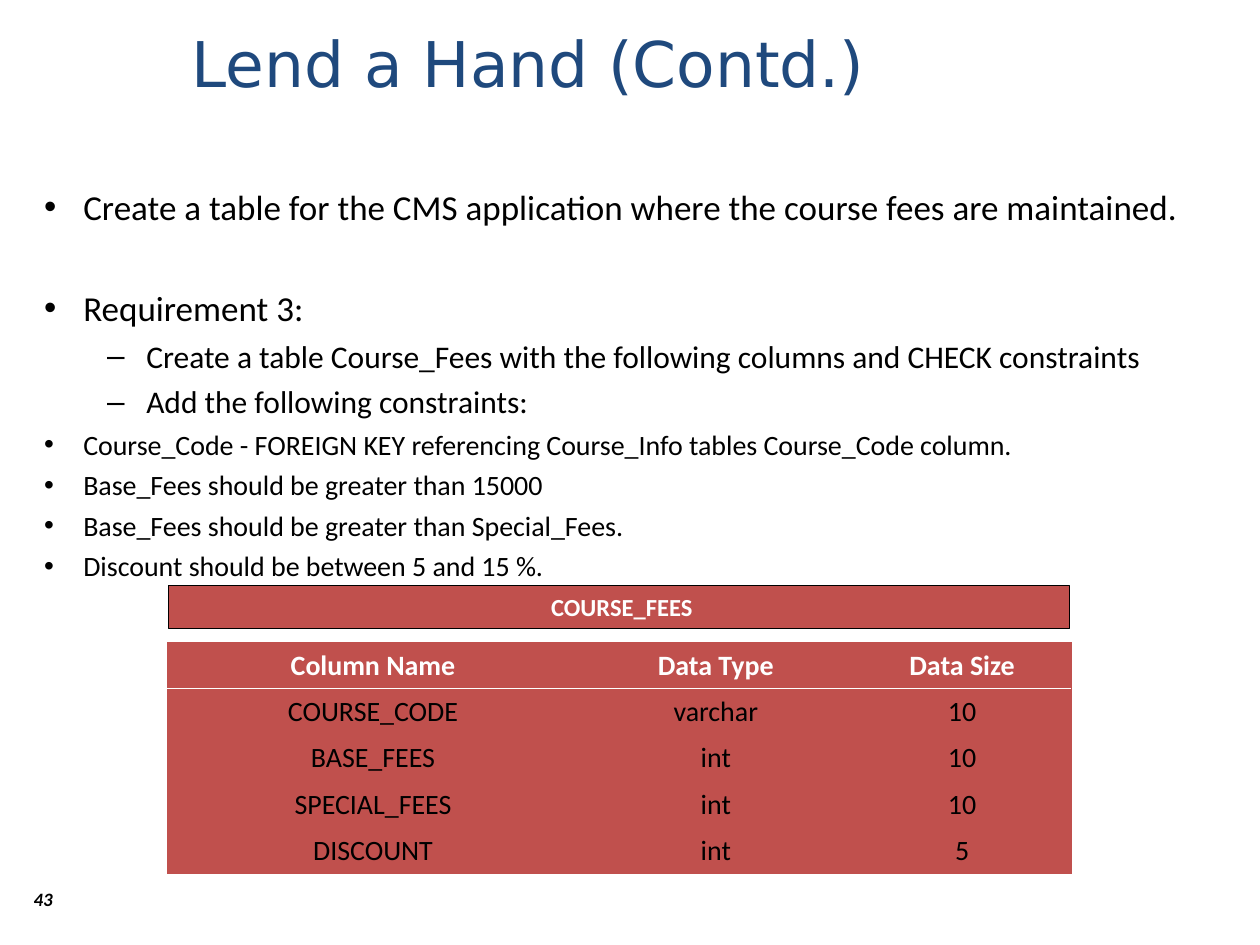
from dataclasses import dataclass
from typing import Any

from lxml import etree
from pptx import Presentation
from pptx.dml.color import RGBColor
from pptx.enum import shapes, text
from pptx.oxml import ns
from pptx.util import Cm, Pt


@dataclass(frozen=True)
class Theme:
    body: str = "Calibri"
    head: str = "DejaVu Sans"
    black: str = "000000"
    white: str = "FFFFFF"
    navy: str = "1F497D"
    red: str = "C0504D"
    title: float = 36
    large: float = 20
    mid: float = 18
    small: float = 16
    label: float = 14
    num: float = 10.8


@dataclass(frozen=True)
class Item:
    words: str
    level: int = 0
    gap: float | None = None  # space before, when not the level's own


@dataclass(frozen=True)
class Style:
    size: float
    gap: float
    left: float
    mark: str


T = Theme()
HANG = 0.79
STYLES = (
    Style(T.large, 5, HANG, "•"),
    Style(T.mid, 4.5, 2.06, "–"),
    Style(T.small, 4, HANG, "•"),
)
ITEMS = (
    Item("Create a table for the CMS application where the course fees are maintained.", gap=0),
    Item("Requirement 3:", gap=34),
    Item("Create a table Course_Fees with the following columns and CHECK constraints", 1),
    Item("Add the following constraints:", 1),
    Item("Course_Code - FOREIGN KEY referencing Course_Info tables Course_Code column.", 2),
    Item("Base_Fees should be greater than 15000", 2),
    Item("Base_Fees should be greater than Special_Fees.", 2),
    Item("Discount should be between 5 and 15 %.", 2),
)
ROWS = (
    ("Column Name", "Data Type", "Data Size"),
    ("COURSE_CODE", "varchar", "10"),
    ("BASE_FEES", "int", "10"),
    ("SPECIAL_FEES", "int", "10"),
    ("DISCOUNT", "int", "5"),
)
WIDTHS = (8.28, 5.54, 4.39)
ROW_H = 0.91


def apply(obj: Any, **values: Any) -> None:
    for key, value in values.items():
        setattr(obj, key, value)


def box(*sizes: float) -> list[Cm]:
    return [Cm(size) for size in sizes]


def write(para: Any, words: str, size: float, color: str, face: str = T.body, **more: Any) -> None:
    run = para.add_run()
    run.text = words
    apply(run.font, name=face, size=Pt(size), **more)
    run.font.color.rgb = RGBColor.from_string(color)


def bullet(para: Any, style: Style) -> None:
    props = para._p.get_or_add_pPr()
    props.set("marL", str(Cm(style.left)))
    props.set("indent", str(-Cm(HANG)))
    tint = etree.SubElement(props, ns.qn("a:buClr"))
    etree.SubElement(tint, ns.qn("a:srgbClr"), val=T.black)
    etree.SubElement(props, ns.qn("a:buFont"), typeface="Arial")
    etree.SubElement(props, ns.qn("a:buChar"), char=style.mark)


def border(cell: Any, sides: dict[str, tuple[str, float]]) -> None:
    props = cell._tc.get_or_add_tcPr()
    for spot, (side, (color, width)) in enumerate(sides.items()):
        line = etree.Element(ns.qn(f"a:{side}"), w=str(Pt(width)))
        fill = etree.SubElement(line, ns.qn("a:solidFill"))
        etree.SubElement(fill, ns.qn("a:srgbClr"), val=color)
        props.insert(spot, line)


def add_list(slide: Any) -> None:
    frame = slide.shapes.add_textbox(*box(0.64, 3.61, 24.13, 13.28)).text_frame
    frame.word_wrap = True
    for spot, item in enumerate(ITEMS):
        para = frame.add_paragraph() if spot else frame.paragraphs[0]
        style = STYLES[item.level]
        bullet(para, style)
        gap = style.gap if item.gap is None else item.gap
        apply(para, level=item.level, space_before=Pt(gap))
        write(para, item.words, style.size, T.black)


def add_grid(slide: Any) -> None:
    spot = box(3.38, 12.95, sum(WIDTHS), ROW_H * len(ROWS))
    grid = slide.shapes.add_table(len(ROWS), len(WIDTHS), *spot).table
    for col, width in zip(grid.columns, WIDTHS):
        col.width = Cm(width)
    edge, rule = (T.red, 0.34), (T.white, 0.96)
    for r, row in enumerate(ROWS):
        grid.rows[r].height = Cm(ROW_H)
        for c, words in enumerate(row):
            cell = grid.cell(r, c)
            apply(cell, vertical_anchor=text.MSO_ANCHOR.MIDDLE,
                  margin_left=Cm(0.23), margin_right=Cm(0.23))
            cell.fill.solid()
            cell.fill.fore_color.rgb = RGBColor.from_string(T.red)
            border(cell, {"lnL": edge, "lnR": edge,
                          "lnT": rule if r == 1 else edge,
                          "lnB": rule if r == 0 else edge})
            para = cell.text_frame.paragraphs[0]
            para.alignment = text.PP_ALIGN.CENTER
            write(para, words, T.small, T.black if r else T.white, bold=r == 0)


def add_label(slide: Any) -> None:
    bar = slide.shapes.add_shape(shapes.MSO_SHAPE.RECTANGLE, *box(3.4, 11.81, 18.16, 0.86))
    bar.shadow.inherit = False
    bar.fill.solid()
    bar.fill.fore_color.rgb = RGBColor.from_string(T.red)
    bar.line.color.rgb = RGBColor.from_string(T.black)
    bar.line.width = Pt(0.75)
    apply(bar.text_frame, word_wrap=True, vertical_anchor=text.MSO_ANCHOR.MIDDLE)
    para = bar.text_frame.paragraphs[0]
    para.alignment = text.PP_ALIGN.CENTER
    write(para, " COURSE_FEES", T.label, T.white, bold=True)


def main() -> None:
    deck = Presentation()
    apply(deck, slide_width=Cm(25.4), slide_height=Cm(19.05))
    slide = deck.slides.add_slide(deck.slide_layouts[5])

    # Title
    title = slide.shapes.title
    apply(title, **dict(zip(("left", "top", "width", "height"), box(3.61, 0.2, 21.29, 2.13))))
    apply(title.text_frame, vertical_anchor=text.MSO_ANCHOR.MIDDLE,
          auto_size=text.MSO_AUTO_SIZE.NONE, word_wrap=True)
    para = title.text_frame.paragraphs[0]
    para.alignment = text.PP_ALIGN.LEFT
    write(para, "Lend a Hand (Contd.)", T.title, T.navy, T.head)

    # Requirements, then the column table under its label
    add_list(slide)
    add_grid(slide)
    add_label(slide)

    # Page number
    page = slide.shapes.add_textbox(*box(0.43, 17.86, 1.27, 0.76)).text_frame
    page.word_wrap = True
    page.paragraphs[0].line_spacing = 0.8
    write(page.paragraphs[0], "43", T.num, T.black, bold=True, italic=True)

    deck.save("out.pptx")


if __name__ == "__main__":
    main()
